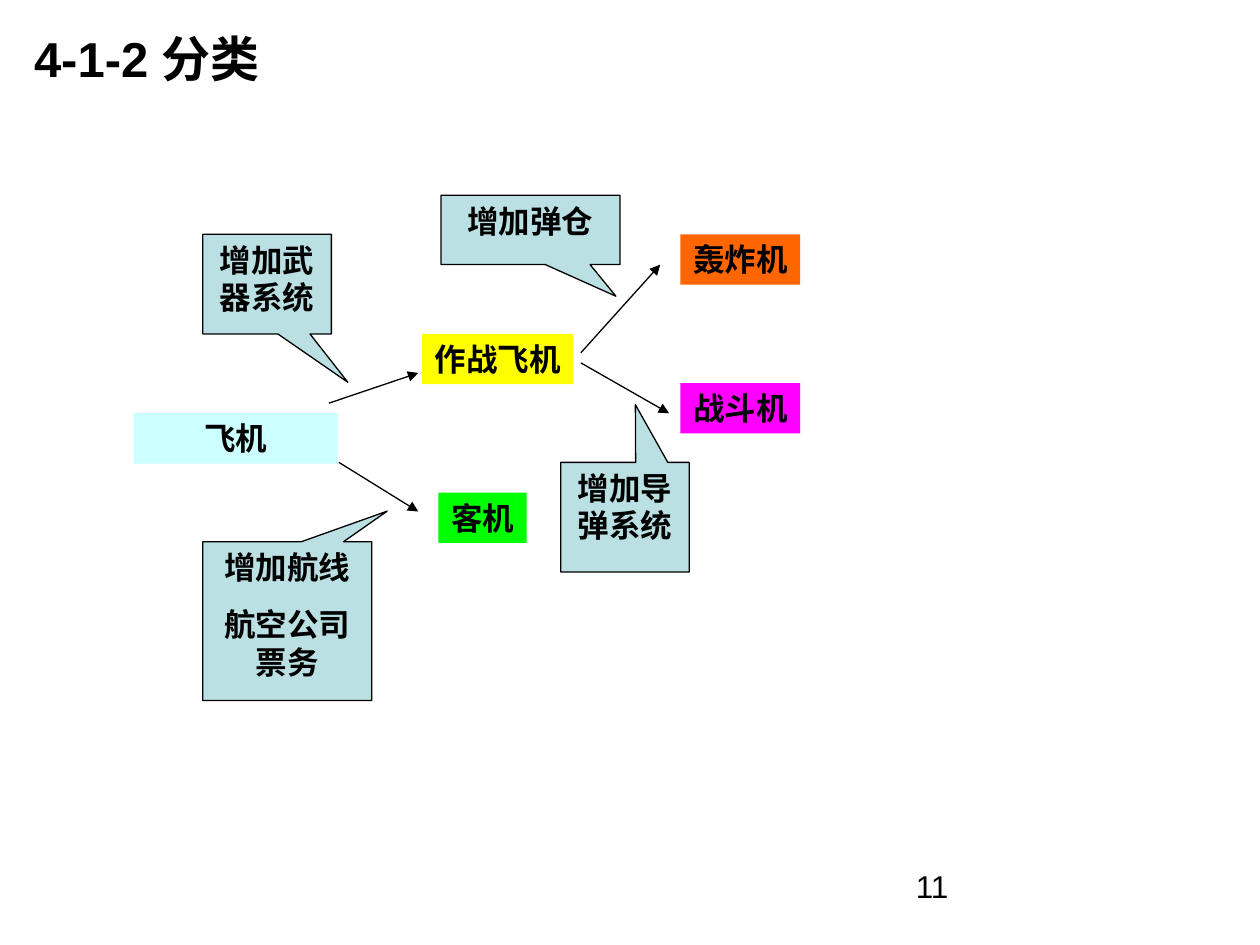
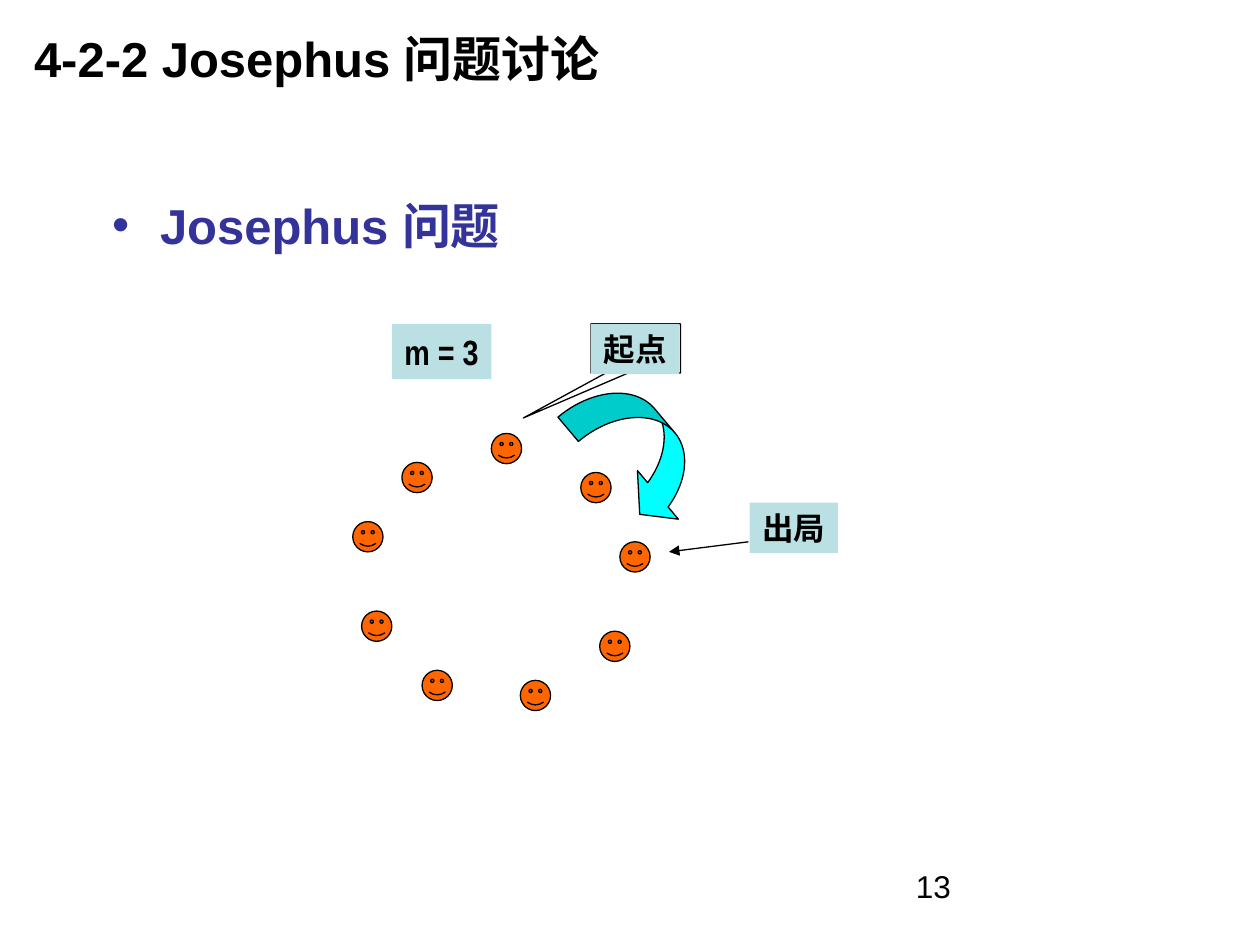
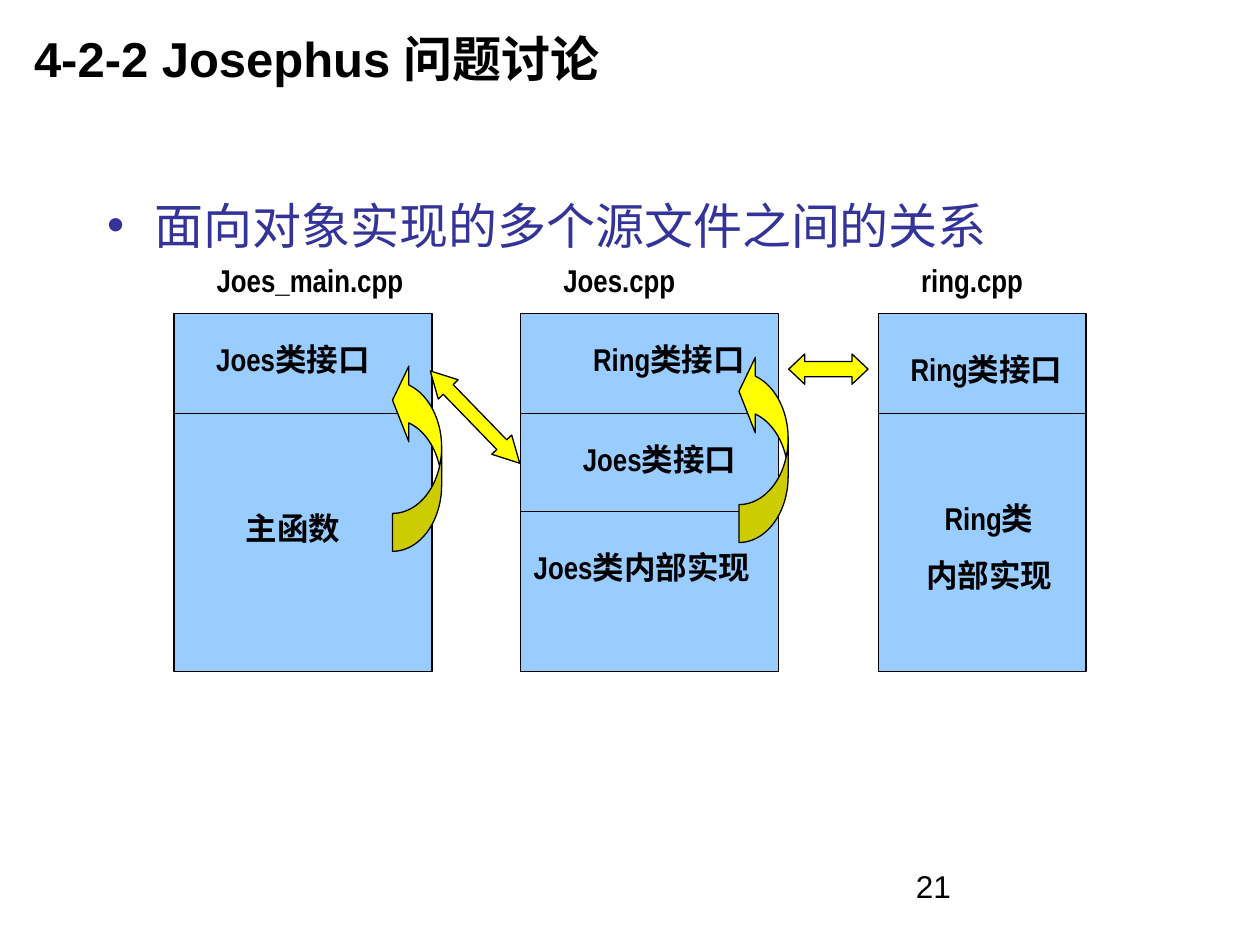
from dataclasses import dataclass

from lxml import etree
from pptx import Presentation
from pptx.dml.color import RGBColor
from pptx.enum.shapes import MSO_CONNECTOR, MSO_SHAPE as SHAPE
from pptx.enum.text import MSO_ANCHOR as ANCHOR, MSO_AUTO_SIZE as AUTO, PP_ALIGN as ALIGN
from pptx.oxml.ns import qn
from pptx.util import Inches, Pt


@dataclass(frozen=True)
class Theme:
    ink: str = "000000"
    heading: str = "333399"
    pale: str = "BBE0E3"
    orange: str = "FF6600"
    cyan: str = "00FFFF"
    yellow: str = "FFFF00"
    file_blue: str = "99CCFF"
    font: str = "Arial"
    narrow: str = "Arial Narrow"
    title_size: int = 28
    label_size: int = 18
    note_size: int = 20
    line_width: float = 0.75
    para_gap: float = 11.2


THEME = Theme()
TITLE_PLACE = (0.17, 0, 7.5, 0.92)
NUMBER_PLACE = (7.17, 6.83, 2.33, 0.52)
LABEL_HEIGHT = 0.4

# Slide 1: text, left, top, width, fill
AIRCRAFT = [
    ("飞机", 1.06, 3.28, 1.62, "CCFFFF"),
    ("作战飞机", 3.35, 2.65, 1.2, THEME.yellow),
    ("客机", 3.48, 3.91, 0.7, "00FF00"),
    ("轰炸机", 5.4, 1.86, 0.95, THEME.orange),
    ("战斗机", 5.4, 3.04, 0.95, "FF00FF"),
]
DERIVATIONS = [
    ((2.61, 3.2), (3.32, 2.96)),
    ((2.69, 3.67), (3.32, 4.06)),
    ((4.61, 2.8), (5.24, 2.1)),
    ((4.61, 2.88), (5.31, 3.28)),
]
# paragraphs, place, pointer tip relative to the centre
ADDITIONS = [
    (["增加武器系统"], (1.61, 1.86, 1.02, 0.79), (0.629, 0.987)),
    (["增加航线", "航空公司票务"], (1.61, 4.3, 1.34, 1.26), (0.592, -0.693)),
    (["增加弹仓"], (3.5, 1.55, 1.42, 0.55), (0.478, 0.957)),
    (["增加导弹系统"], (4.45, 3.67, 1.02, 0.87), (0.081, -1.027)),
]

# Slide 2: clockwise from the starting player
PLAYERS = [
    (3.9, 3.44), (4.61, 3.75), (4.92, 4.3), (4.76, 5.01), (4.13, 5.4),
    (3.35, 5.32), (2.87, 4.85), (2.8, 4.14), (3.19, 3.67),
]
PLAYER_SIZE = 0.24
START_PLACE = (4.69, 2.57, 0.7, LABEL_HEIGHT)

# Slide 3
FILE_TOP, FILE_HEIGHT = 2.49, 2.84
FILES = [  # left, width, divider heights
    (1.38, 2.05, [3.28]),
    (4.13, 2.05, [3.28, 4.06]),
    (6.97, 1.65, [3.28]),
]
FILE_LABELS = [  # paragraphs, left, top, width
    (["Joes_main.cpp"], 1.62, 2.02, 1.68),
    (["Joes.cpp"], 4.37, 2.02, 1.09),
    (["ring.cpp"], 7.21, 2.02, 1.01),
    (["Joes类接口"], 1.59, 2.65, 1.47),
    (["Ring类接口"], 4.58, 2.65, 1.46),
    (["Ring类接口"], 7.1, 2.73, 1.46),
    (["Joes类接口"], 4.5, 3.44, 1.47),
    (["主函数"], 1.85, 3.99, 0.95),
    (["Joes类内部实现"], 4.11, 4.3, 1.97),
    (["Ring类", "内部实现"], 7.25, 3.91, 1.2),
]
FILE_ARROWS = [  # shape, place, rotation, adjustments
    (SHAPE.LEFT_RIGHT_ARROW, (6.26, 2.81, 0.63, 0.24), 0, (0.5, 0.531)),
    (SHAPE.CURVED_UP_ARROW, (2.56, 3.43, 1.5, 0.39), 270, (0.77, 1.54, 0.333)),
    (SHAPE.LEFT_RIGHT_ARROW, (3.26, 3.2, 1.02, 0.22), 45.9, (0.5, 0.932)),
    (SHAPE.CURVED_UP_ARROW, (5.31, 3.36, 1.5, 0.39), 270, (0.77, 1.54, 0.333)),
]


def inches(place):
    return [Inches(value) for value in place]


def write(box, paragraphs, size=THEME.label_size, font=THEME.narrow, color=THEME.ink,
          bold=True, align=ALIGN.CENTER, anchor=ANCHOR.TOP, wrap=True, bullet=None):
    frame = box.text_frame
    frame.auto_size = AUTO.NONE
    frame.word_wrap = wrap
    frame.vertical_anchor = anchor
    for index, text in enumerate(paragraphs):
        para = frame.add_paragraph() if index else frame.paragraphs[0]
        para.alignment = align
        para.space_before = Pt(THEME.para_gap if index else 0)
        if bullet:
            add_bullet(para, bullet)
        span = para.add_run()
        span.text = text
        span.font.size = Pt(size)
        span.font.name = font
        span.font.bold = bold
        span.font.color.rgb = RGBColor.from_string(color)


def add_bullet(para, mark, indent=0.38):
    properties = para._p.get_or_add_pPr()
    properties.set("marL", str(Inches(indent)))
    properties.set("indent", str(-Inches(indent)))
    etree.SubElement(properties, qn("a:buChar")).set("char", mark)


def add_figure(page, kind, place, fill=None, outlined=True, rotation=0, adjust=()):
    figure = page.shapes.add_shape(kind, *inches(place))
    figure.shadow.inherit = False
    figure.rotation = rotation
    for index, value in enumerate(adjust):
        figure.adjustments[index] = value
    if fill:
        figure.fill.solid()
        figure.fill.fore_color.rgb = RGBColor.from_string(fill)
    else:
        figure.fill.background()
    if outlined:
        style_line(figure.line)
    else:
        figure.line.fill.background()
    return figure


def style_line(line):
    line.color.rgb = RGBColor.from_string(THEME.ink)
    line.width = Pt(THEME.line_width)


def add_label(page, text, place, fill, size=THEME.label_size):
    box = add_figure(page, SHAPE.RECTANGLE, place, fill, outlined=False)
    write(box, [text], size=size, wrap=False)


def add_line(page, start, end, arrow=False):
    line = page.shapes.add_connector(MSO_CONNECTOR.STRAIGHT, *inches(start + end))
    style_line(line.line)
    if arrow:
        etree.SubElement(line.line._get_or_add_ln(), qn("a:tailEnd")).set("type", "triangle")
    etree.SubElement(line._element.spPr, qn("a:effectLst"))


def place_holder(holder, place):
    holder.left, holder.top, holder.width, holder.height = inches(place)


def add_page(deck, title, number, heading=None, body_place=None, bold=True):
    page = deck.slides.add_slide(deck.slide_layouts[1 if heading else 5])
    place_holder(page.shapes.title, TITLE_PLACE)
    write(page.shapes.title, [title], size=THEME.title_size, font=THEME.font,
          align=ALIGN.LEFT, anchor=ANCHOR.MIDDLE)
    if heading:
        body = page.placeholders[1]
        place_holder(body, body_place)
        write(body, [heading], size=THEME.title_size, font=THEME.font,
              color=THEME.heading, bold=bold, align=ALIGN.LEFT, bullet="•")
    write(page.shapes.add_textbox(*inches(NUMBER_PLACE)), [number],
          font=THEME.font, bold=False, align=ALIGN.LEFT)
    return page


def build_classification(deck):
    page = add_page(deck, "4-1-2 分类", "11")
    for text, left, top, width, fill in AIRCRAFT:
        add_label(page, text, (left, top, width, LABEL_HEIGHT), fill)
    for start, end in DERIVATIONS:
        add_line(page, start, end, arrow=True)
    for paragraphs, place, tip in ADDITIONS:
        callout = add_figure(page, SHAPE.RECTANGULAR_CALLOUT, place, THEME.pale, adjust=tip)
        write(callout, paragraphs)


def build_josephus_ring(deck):
    page = add_page(deck, "4-2-2 Josephus 问题讨论", "13",
                    "Josephus 问题", (0.79, 1.5, 8.43, 5.12))
    for left, top in PLAYERS:
        add_figure(page, SHAPE.SMILEY_FACE, (left, top, PLAYER_SIZE, PLAYER_SIZE), THEME.orange)
    add_figure(page, SHAPE.RECTANGULAR_CALLOUT, (4.69, 2.57, 0.71, 0.39),
               adjust=(-1.257, 1.416))
    add_label(page, "起点", START_PLACE, THEME.pale)
    add_label(page, "m = 3", (3.11, 2.57, 0.79, 0.44), THEME.pale, size=THEME.note_size)
    add_figure(page, SHAPE.CURVED_LEFT_ARROW, (4.76, 2.96, 0.63, 1.26), THEME.cyan,
               rotation=319.9, adjust=(0.4, 0.8, 0.333))
    add_line(page, (5.94, 4.3), (5.31, 4.38), arrow=True)
    add_label(page, "出局", (5.95, 3.99, 0.7, LABEL_HEIGHT), THEME.pale)


def build_source_files(deck):
    page = add_page(deck, "4-2-2 Josephus 问题讨论", "21",
                    "面向对象实现的多个源文件之间的关系", (0.75, 1.5, 8.5, 5.17), bold=False)
    for left, width, dividers in FILES:
        add_figure(page, SHAPE.RECTANGLE, (left, FILE_TOP, width, FILE_HEIGHT), THEME.file_blue)
        for height in dividers:
            add_line(page, (left, height), (left + width, height))
    for paragraphs, left, top, width in FILE_LABELS:
        height = LABEL_HEIGHT + 0.46 * (len(paragraphs) - 1)
        write(page.shapes.add_textbox(*inches((left, top, width, height))),
              paragraphs, wrap=False)
    for kind, place, rotation, adjust in FILE_ARROWS:
        add_figure(page, kind, place, THEME.yellow, rotation=rotation, adjust=adjust)


def main():
    deck = Presentation()
    deck.slide_width, deck.slide_height = Inches(10), Inches(7.5)
    build_classification(deck)
    build_josephus_ring(deck)
    build_source_files(deck)
    deck.save("out.pptx")


if __name__ == "__main__":
    main()
